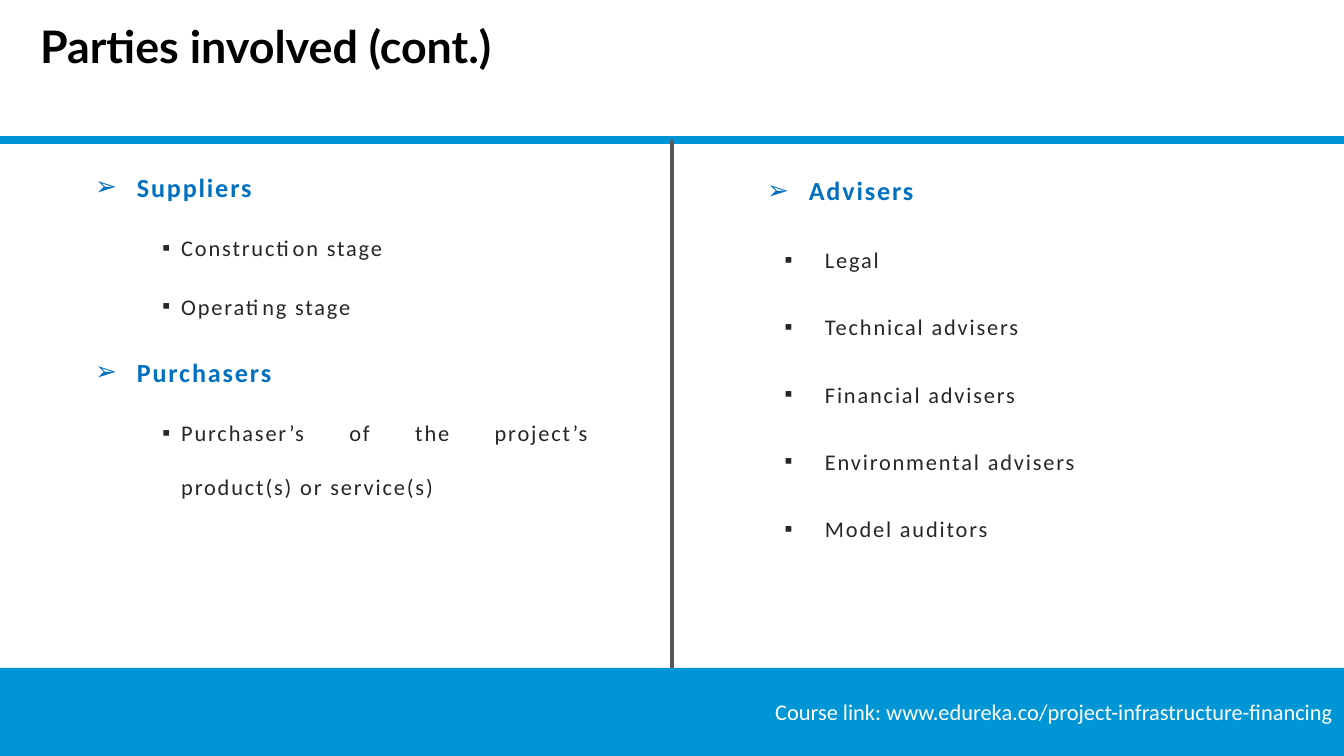
from lxml import etree
from pptx import Presentation
from pptx.dml.color import RGBColor
from pptx.enum.shapes import MSO_CONNECTOR as CONN, MSO_SHAPE as SHAPE
from pptx.enum.text import MSO_ANCHOR as ANCHOR, PP_ALIGN as ALIGN
from pptx.oxml.ns import qn
from pptx.util import Inches, Pt

# Content: (level, text)
TITLE = "Parties involved (cont.)"
FOOTER = "Course link: www.edureka.co/project-infrastructure-financing"
LEFT = [
    (0, "Suppliers"),
    (1, "Construction stage"),
    (1, "Operating stage"),
    (0, "Purchasers"),
    (1, "Purchaser’s of the project’s product(s) or service(s)"),
]
RIGHT = [
    (0, "Advisers"),
    (1, "Legal"),
    (1, "Technical advisers"),
    (1, "Financial advisers"),
    (1, "Environmental advisers"),
    (1, "Model auditors"),
]

# Formats
BLUE = RGBColor(0x00, 0x96, 0xD6)
HEAD_BLUE = RGBColor(0x00, 0x70, 0xC0)
GRAY = RGBColor(0x59, 0x59, 0x59)
DARK = RGBColor(0x26, 0x26, 0x26)
BLACK = RGBColor(0, 0, 0)
WHITE = RGBColor(0xFF, 0xFF, 0xFF)

TITLE_FONT = dict(name="Lato", size=Pt(24), bold=True)
FOOTER_FONT = dict(name="Calibri", size=Pt(12))
LEVELS = [
    ("➢", HEAD_BLUE, dict(name="Calibri", size=Pt(14), bold=True)),
    ("▪", DARK, dict(name="Calibri", size=Pt(12), bold=False)),
]
# Each column: items, box, (margin, hanging) per level, paragraph format, gap
COLUMNS = [
    (LEFT, (0.61, 0.99, 3.88, 3.17), [(0.31, 0.31), (0.64, 0.14)],
     dict(alignment=ALIGN.JUSTIFY, line_spacing=2.0), Pt(2.6)),
    (RIGHT, (5.61, 0.9, 5, 3.13), [(0.31, 0.31), (0.43, 0.3)],
     dict(alignment=ALIGN.LEFT, line_spacing=2.5), Pt(0)),
]
W = 10
H = W * 9 / 16
RULE_Y, BAND_Y = 1.04, 4.97


def set_attrs(obj, values):
    for key, value in values.items():
        setattr(obj, key, value)


def add_run(p, text, color, font):
    r = p.add_run()
    r.text = text
    set_attrs(r.font, font)
    r.font.color.rgb = color
    return r


def add_box(s, box):
    tf = s.shapes.add_textbox(*map(Inches, box)).text_frame
    tf.word_wrap = True
    return tf


def add_line(s, x1, y1, x2, y2, color, width):
    line = s.shapes.add_connector(CONN.STRAIGHT, *map(Inches, (x1, y1, x2, y2)))
    line.line.color.rgb = color
    line.line.width = Pt(width)
    etree.SubElement(line._element.spPr, qn("a:effectLst"))
    return line


def add_bullet(p, char, margin, hanging):
    pPr = p._p.get_or_add_pPr()
    pPr.set("marL", str(Inches(margin)))
    pPr.set("indent", str(-Inches(hanging)))
    etree.SubElement(pPr, qn("a:buFont")).set("typeface", "Calibri")
    etree.SubElement(pPr, qn("a:buChar")).set("char", char)


def add_column(s, items, box, indents, fmt, gap):
    tf = add_box(s, box)
    for i, (level, text) in enumerate(items):
        p = tf.add_paragraph() if i else tf.paragraphs[0]
        char, color, font = LEVELS[level]
        add_bullet(p, char, *indents[level])
        p.level = level
        set_attrs(p, fmt)
        p.space_before = gap if i else Pt(0)
        r = add_run(p, text, color, font)
        r.font._element.set("spc", "100")  # letter spacing of 1 pt


prs = Presentation()
prs.slide_width, prs.slide_height = Inches(W), Inches(H)
s = prs.slides.add_slide(prs.slide_layouts[6])

# Title and rule
add_run(add_box(s, (0.2, 0.09, 9.8, 0.47)).paragraphs[0], TITLE, BLACK, TITLE_FONT)
add_line(s, 0, RULE_Y, W, RULE_Y, BLUE, 4.5)

# Footer band
band = s.shapes.add_shape(SHAPE.RECTANGLE, *map(Inches, (0, BAND_Y, W, H - BAND_Y)))
band.shadow.inherit = False
band.fill.solid()
band.fill.fore_color.rgb = BLUE
band.line.fill.background()
tf = band.text_frame
set_attrs(tf, dict(word_wrap=True, vertical_anchor=ANCHOR.MIDDLE,
                   margin_left=Inches(0.08), margin_right=Inches(0.08),
                   margin_top=Inches(0.04), margin_bottom=Inches(0.04)))
p = tf.paragraphs[0]
p.alignment = ALIGN.RIGHT
add_run(p, FOOTER, WHITE, FOOTER_FONT)

# Divider between the columns, down to the band
divider = add_line(s, W / 2, RULE_Y, W / 2, BAND_Y, GRAY, 2.25)
divider.end_connect(band, 0)

# Columns
for column in COLUMNS:
    add_column(s, *column)

prs.save("out.pptx")
